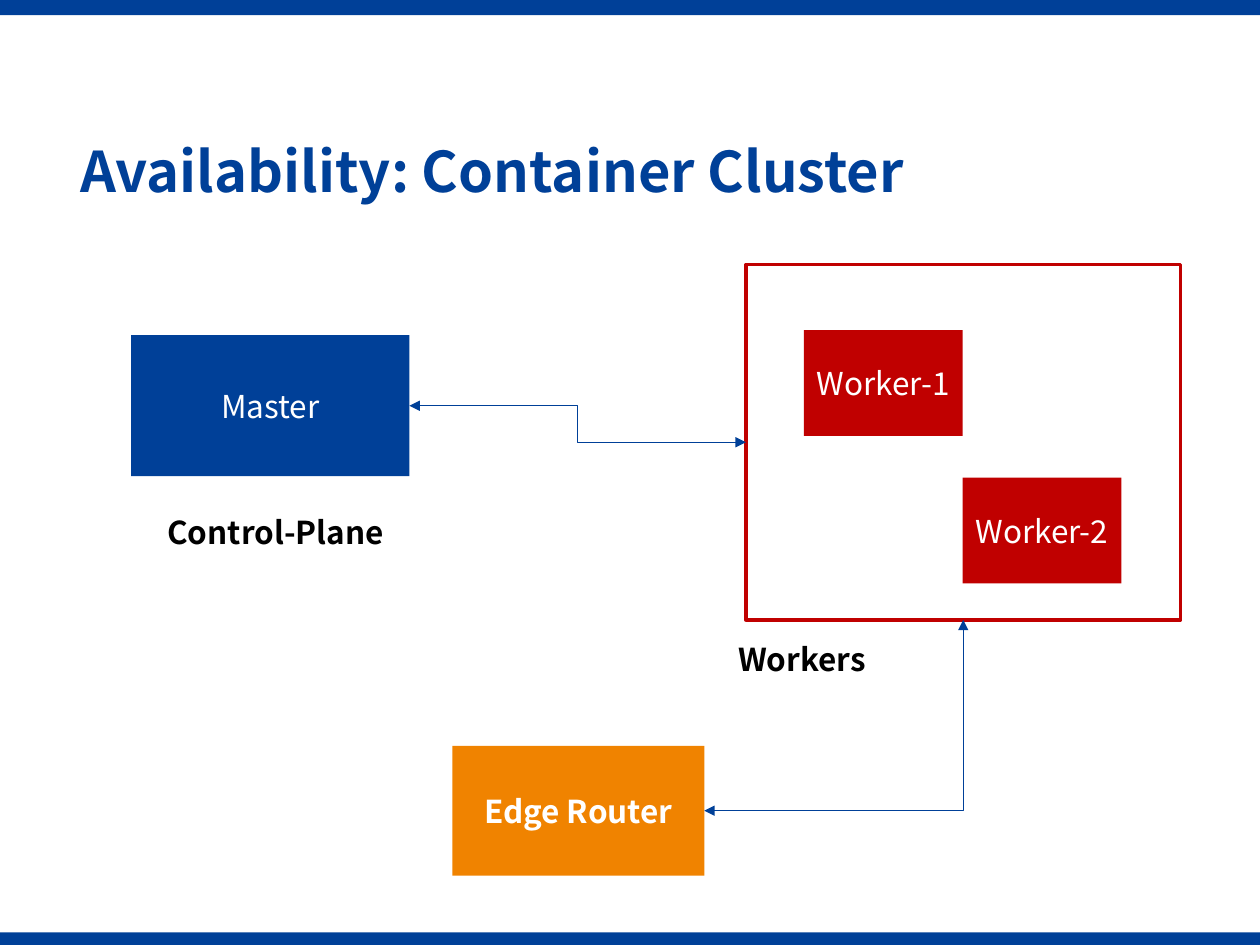
from lxml import etree
from pptx import Presentation
from pptx.dml.color import RGBColor
from pptx.enum import shapes, text
from pptx.oxml.ns import qn
from pptx.util import Inches, Pt

FONT = "Noto Sans CJK SC"
COLORS = {
    "blue": "004098",
    "red": "C00000",
    "orange": "F08300",
    "white": "FFFFFF",
    "black": "000000",
}
LEFT, BOTTOM, RIGHT = 1, 2, 3  # connection sites of a rectangle


def color(name):
    return RGBColor.from_string(COLORS[name])


def write(shape, wording, color_name, size=18, bold=False, align=text.PP_ALIGN.LEFT):
    shape.text_frame.text = wording
    paragraph = shape.text_frame.paragraphs[0]
    paragraph.alignment = align
    font = paragraph.runs[0].font
    font.name, font.size, font.bold = FONT, Pt(size), bold
    font.color.rgb = color(color_name)
    return paragraph


def add_title(slide, wording):
    title = slide.shapes.title
    title.left, title.top = Inches(0.54), Inches(1.07)
    title.width, title.height = Inches(9.16), Inches(0.63)
    title.text_frame.vertical_anchor = text.MSO_ANCHOR.MIDDLE
    write(title, wording, "blue", size=32, bold=True).line_spacing = 0.9


def add_box(slide, left, top, width, height, fill=None, line=None, label="", bold=False):
    box = slide.shapes.add_shape(
        shapes.MSO_SHAPE.RECTANGLE,
        Inches(left), Inches(top), Inches(width), Inches(height),
    )
    box.shadow.inherit = False
    if fill:
        box.fill.solid()
        box.fill.fore_color.rgb = color(fill)
    else:
        box.fill.background()
    if line:
        box.line.color.rgb = color(line)
        box.line.width = Pt(2)
    else:
        box.line.fill.background()
    if label:
        box.text_frame.vertical_anchor = text.MSO_ANCHOR.MIDDLE
        write(box, label, "white", bold=bold, align=text.PP_ALIGN.CENTER)
    return box


def add_caption(slide, left, top, width, wording):
    caption = slide.shapes.add_textbox(Inches(left), Inches(top), Inches(width), Inches(0.4))
    caption.text_frame.word_wrap = True
    write(caption, wording, "black", bold=True)


def add_link(slide, start, start_site, end, end_site, geometry):
    """Join two boxes by an elbow with an arrowhead at both ends."""
    link = slide.shapes.add_connector(shapes.MSO_CONNECTOR.ELBOW, 0, 0, 0, 0)
    link.begin_connect(start, start_site)
    link.end_connect(end, end_site)
    link.line.color.rgb = color("blue")
    link.line.width = Pt(0.5)
    properties = link._element.spPr
    properties.find(qn("a:prstGeom")).set("prst", geometry)
    outline = properties.find(qn("a:ln"))
    for tag in ("a:headEnd", "a:tailEnd"):
        etree.SubElement(outline, qn(tag), type="triangle")
    etree.SubElement(properties, qn("a:effectLst"))


def main():
    presentation = Presentation()
    presentation.slide_width, presentation.slide_height = Inches(10), Inches(7.5)
    slide = presentation.slides.add_slide(presentation.slide_layouts[5])

    add_box(slide, 0, 7.4, 10, 0.1, fill="blue")
    add_box(slide, 0, 0, 10, 0.12, fill="blue")
    add_title(slide, "Availability: Container Cluster")

    master = add_box(slide, 1.04, 2.66, 2.21, 1.12, fill="blue", label="Master")
    add_caption(slide, 1.23, 4.02, 2.07, "Control-Plane")

    workers = add_box(slide, 5.92, 2.1, 3.45, 2.82, line="red")
    for label, left, top in (("Worker-1", 6.38, 2.62), ("Worker-2", 7.64, 3.79)):
        add_box(slide, left, top, 1.26, 0.84, fill="red", label=label)
    add_caption(slide, 5.76, 5.03, 1.72, "Workers")

    router = add_box(slide, 3.59, 5.92, 2, 1.03, fill="orange", label="Edge Router", bold=True)
    add_link(slide, router, RIGHT, workers, BOTTOM, "bentConnector2")
    add_link(slide, master, RIGHT, workers, LEFT, "bentConnector3")

    presentation.save("out.pptx")


if __name__ == "__main__":
    main()
